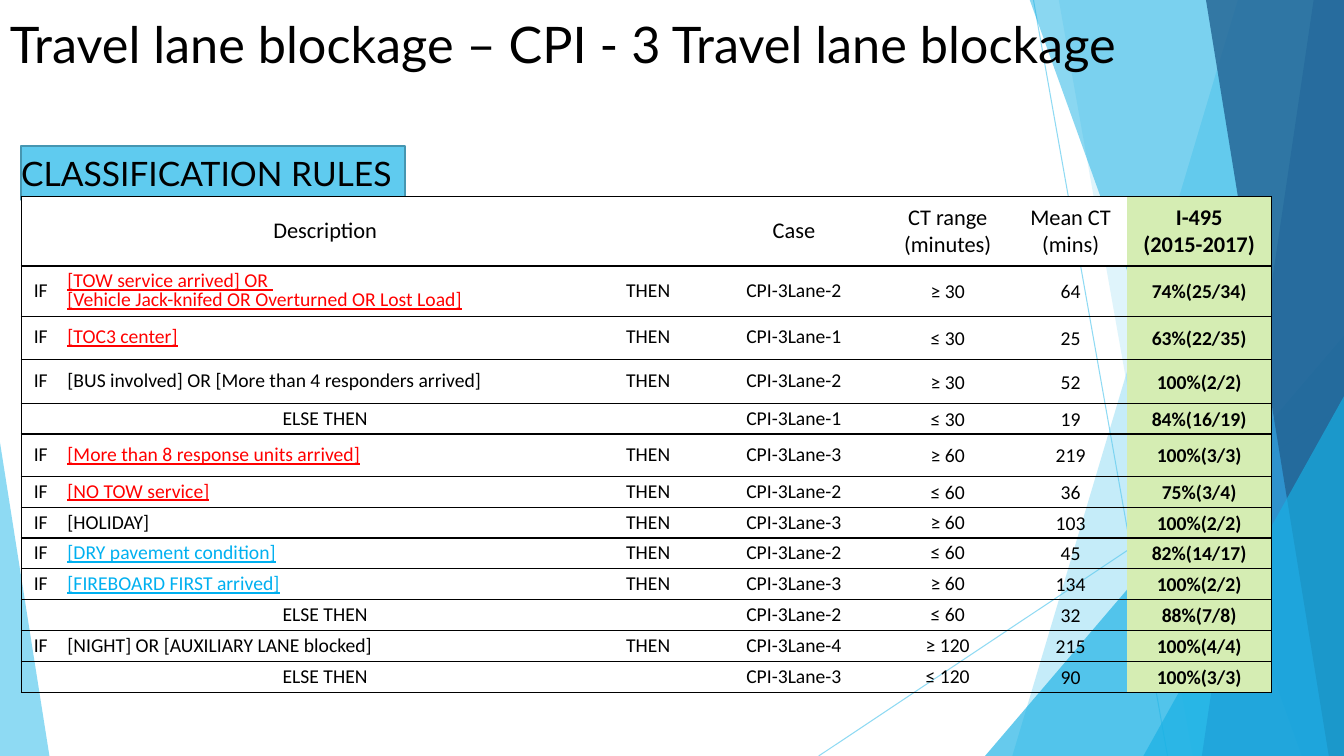
from dataclasses import dataclass

from lxml.etree import SubElement
from pptx import Presentation
from pptx.dml.color import RGBColor
from pptx.enum.shapes import MSO_CONNECTOR, MSO_SHAPE
from pptx.enum.text import MSO_ANCHOR, PP_ALIGN
from pptx.oxml.ns import qn
from pptx.util import Inches, Pt


@dataclass(frozen=True)
class Theme:
    black: str = "000000"
    white: str = "FFFFFF"
    red: str = "FF0000"
    sky: str = "00B0F0"
    green: str = "D5EDB3"
    aqua: str = "5FCBEF"
    cyan: str = "17B0E4"
    blue: str = "2E83C3"
    navy: str = "226292"
    outline: str = "4696B1"
    heading_font: str = "Lato"
    table_font: str = "Calibri"
    title: float = 36
    label: float = 24
    header: float = 16
    body: float = 14


T = Theme()


@dataclass(frozen=True)
class Ray:
    start: tuple[float, float]
    end: tuple[float, float]


@dataclass(frozen=True)
class Band:
    top_left: float
    bottom_left: float
    color: str
    alpha: int


@dataclass(frozen=True)
class Wedge:
    left: float
    top: float
    width: float
    apex: float
    color: str
    alpha: int


@dataclass(frozen=True)
class Rule:
    condition: str
    case: str
    ct_range: str
    mean: str
    accuracy: str
    color: str = T.black
    height: float = 0
    spacing: float = 0.9
    range_spacing: float = 0.9


WIDTH, HEIGHT = 13.33, 7.5
DECOR = [
    Ray((10.25, 0), (11.58, HEIGHT)),
    Ray((WIDTH, 4.03), (8.12, HEIGHT)),
    Band(12.28, 10.04, T.aqua, 36),
    Band(10.5, 11.83, T.aqua, 20),
    Wedge(9.77, 3.33, 3.56, 1, T.cyan, 66),
    Band(10.21, 12.91, T.cyan, 50),
    Band(13.03, 11.92, T.blue, 70),
    Band(11.96, 13.18, T.navy, 80),
    Wedge(11.34, 3.93, 1.99, 1, T.cyan, 66),
    Wedge(0, 4.39, 0.49, 0, T.aqua, 70),
]
ELSE = "ELSE THEN"
HEADER = ["", "Description", "", "Case", "CT range\v(minutes)", "Mean CT\n(mins)", "I-495\n(2015-2017)"]
RULES = [
    Rule("[TOW service arrived] OR \n[Vehicle Jack-knifed OR Overturned OR Lost Load]",
         "CPI-3Lane-2", "≥ 30", "64", "74%(25/34)", T.red, 0.5, 0.8, 1.07),
    Rule("[TOC3 center]", "CPI-3Lane-1", "≤ 30", "25", "63%(22/35)", T.red, 0.43, 0.8, 1.07),
    Rule("[BUS involved] OR [More than 4 responders arrived]",
         "CPI-3Lane-2", "≥ 30", "52", "100%(2/2)", T.black, 0.43, 0.8, 1.07),
    Rule(ELSE, "CPI-3Lane-1", "≤ 30", "19", "84%(16/19)", range_spacing=1.07),
    Rule("[More than 8 response units arrived]",
         "CPI-3Lane-3", "≥ 60", "219", "100%(3/3)", T.red, 0.42, range_spacing=1.07),
    Rule("[NO TOW service]", "CPI-3Lane-2", "≤ 60", "36", "75%(3/4)", T.red, range_spacing=1.07),
    Rule("[HOLIDAY]", "CPI-3Lane-3", "≥ 60", "103", "100%(2/2)"),
    Rule("[DRY pavement condition]", "CPI-3Lane-2", "≤ 60", "45", "82%(14/17)", T.sky),
    Rule("[FIREBOARD FIRST arrived]", "CPI-3Lane-3", "≥ 60", "134", "100%(2/2)", T.sky),
    Rule(ELSE, "CPI-3Lane-2", "≤ 60", "32", "88%(7/8)"),
    Rule("[NIGHT] OR [AUXILIARY LANE blocked]", "CPI-3Lane-4", "≥ 120", "215", "100%(4/4)"),
    Rule(ELSE, "CPI-3Lane-3", "≤ 120", "90", "100%(3/3)"),
]
COLUMNS = [0.39, 5.25, 1.16, 1.73, 1.32, 1.12, 1.43]
TABLE_HEIGHT, HEADER_HEIGHT = 4.92, 0.69


def rgb(color: str) -> RGBColor:
    return RGBColor.from_string(color)


def set_fill(sp, color: str, alpha: int) -> None:
    sp.shadow.inherit = False
    sp.fill.solid()
    sp.fill.fore_color.rgb = rgb(color)
    sp.line.fill.background()
    set_alpha(sp, alpha)


def set_alpha(sp, alpha: int) -> None:
    clr = next(sp._element.spPr.iter(qn("a:srgbClr")))
    SubElement(clr, qn("a:alpha")).set("val", str(alpha * 1000))


def draw_decor(s, item: Ray | Band | Wedge) -> None:
    if isinstance(item, Ray):
        line = s.shapes.add_connector(MSO_CONNECTOR.STRAIGHT, *map(Inches, item.start + item.end))
        line.line.color.rgb = rgb(T.aqua)
        line.line.width = Pt(0.75)
        set_alpha(line, 70)
        SubElement(line._element.spPr, qn("a:effectLst"))
    elif isinstance(item, Band):
        fb = s.shapes.build_freeform(Inches(item.top_left), Inches(-0.01))
        corners = [(WIDTH, -0.01), (WIDTH, HEIGHT), (item.bottom_left, HEIGHT)]
        fb.add_line_segments([(Inches(x), Inches(y)) for x, y in corners])
        set_fill(fb.convert_to_shape(), item.color, item.alpha)
    else:
        sp = s.shapes.add_shape(MSO_SHAPE.ISOSCELES_TRIANGLE, Inches(item.left), Inches(item.top),
                                Inches(item.width), Inches(HEIGHT - item.top))
        sp.adjustments[0] = item.apex
        set_fill(sp, item.color, item.alpha)


def write(tf, text: str, size: float, font: str, color: str = T.black, bold: bool = False,
          align: PP_ALIGN = PP_ALIGN.LEFT, spacing: float = 1.0) -> None:
    for i, para in enumerate(text.split("\n")):
        p = tf.add_paragraph() if i else tf.paragraphs[0]
        p.alignment, p.line_spacing = align, spacing
        for j, part in enumerate(para.split("\v")):
            if j:
                p.add_line_break()
            if part:
                r = p.add_run()
                r.text = part
                r.font.size, r.font.name, r.font.bold = Pt(size), font, bold
                r.font.underline = color != T.black
                r.font.color.rgb = rgb(color)


def set_borders(cell, sides: list[str]) -> None:
    tc_pr = cell._tc.get_or_add_tcPr()
    for i, side in enumerate(sides):
        ln = SubElement(tc_pr, qn(f"a:{side}"), w=str(Pt(1)))
        SubElement(SubElement(ln, qn("a:solidFill")), qn("a:srgbClr"), val=T.black)
        tc_pr.remove(ln)
        tc_pr.insert(i, ln)


def fill_cell(cell, col: int, text: str, size: float, color: str, align: PP_ALIGN,
              spacing: float, fill: str | None) -> None:
    last = len(COLUMNS) - 1
    cell.margin_left = cell.margin_right = Inches(0.07 if 0 <= col < last else 0)
    cell.margin_top = cell.margin_bottom = 0
    cell.vertical_anchor = MSO_ANCHOR.MIDDLE
    write(cell.text_frame, text, size, T.table_font, color, col == last, align, spacing)
    if col == last or fill:
        cell.fill.solid()
        cell.fill.fore_color.rgb = rgb(T.green if col == last else fill)
    else:
        cell.fill.background()
    edge = {0: ["lnL"], last: ["lnR"]}.get(col, [])
    set_borders(cell, edge + ["lnT", "lnB"])


def draw_table(s) -> None:
    frame = s.shapes.add_table(len(RULES) + 1, len(COLUMNS), Inches(0.21), Inches(1.95),
                               Inches(sum(COLUMNS)), Inches(TABLE_HEIGHT))
    table = frame.table
    table.first_row = table.horz_banding = False
    table._tbl.tblPr.find(qn("a:tableStyleId")).text = "{2D5ABB26-0587-4C30-8999-92F81FD0307C}"
    for column, width in zip(table.columns, COLUMNS):
        column.width = Inches(width)
    table.rows[0].height = Inches(HEADER_HEIGHT)
    for c, text in enumerate(HEADER):
        fill_cell(table.cell(0, c), c, text, T.header, T.black, PP_ALIGN.CENTER, 1.0, T.white)
    free = TABLE_HEIGHT - HEADER_HEIGHT - sum(rule.height for rule in RULES)
    plain_height = free / sum(not rule.height for rule in RULES)
    for i, rule in enumerate(RULES, 1):
        table.rows[i].height = Inches(rule.height or plain_height)
        other = rule.condition == ELSE
        texts = ["" if other else "IF", rule.condition, "" if other else "THEN",
                 rule.case, rule.ct_range, rule.mean, rule.accuracy]
        spacings = [rule.spacing] * 4 + [rule.range_spacing, 1.07, 1.07]
        for c, (text, spacing) in enumerate(zip(texts, spacings)):
            align = PP_ALIGN.LEFT if c == 1 and not other else PP_ALIGN.CENTER
            color = rule.color if c == 1 else T.black
            fill_cell(table.cell(i, c), c, text, T.body, color, align, spacing, None)


def main() -> None:
    prs = Presentation()
    prs.slide_width, prs.slide_height = Inches(WIDTH), Inches(HEIGHT)
    s = prs.slides.add_slide(prs.slide_layouts[6])
    for item in DECOR:
        draw_decor(s, item)
    title = s.shapes.add_textbox(0, Inches(0.08), Inches(12.34), Inches(1.45))
    title.text_frame.word_wrap = True
    write(title.text_frame, "Travel lane blockage – CPI - 3 Travel lane blockage", T.title, T.heading_font)
    label = s.shapes.add_shape(MSO_SHAPE.RECTANGLE, Inches(0.21), Inches(1.45), Inches(3.81), Inches(0.53))
    set_fill(label, T.aqua, 100)
    label.line.color.rgb = rgb(T.outline)
    label.line.width = Pt(1.5)
    tf = label.text_frame
    tf.margin_left = tf.margin_right = tf.margin_top = tf.margin_bottom = 0
    tf.vertical_anchor = MSO_ANCHOR.MIDDLE
    write(tf, "CLASSIFICATION RULES", T.label, T.heading_font)
    draw_table(s)
    prs.save("out.pptx")


if __name__ == "__main__":
    main()
